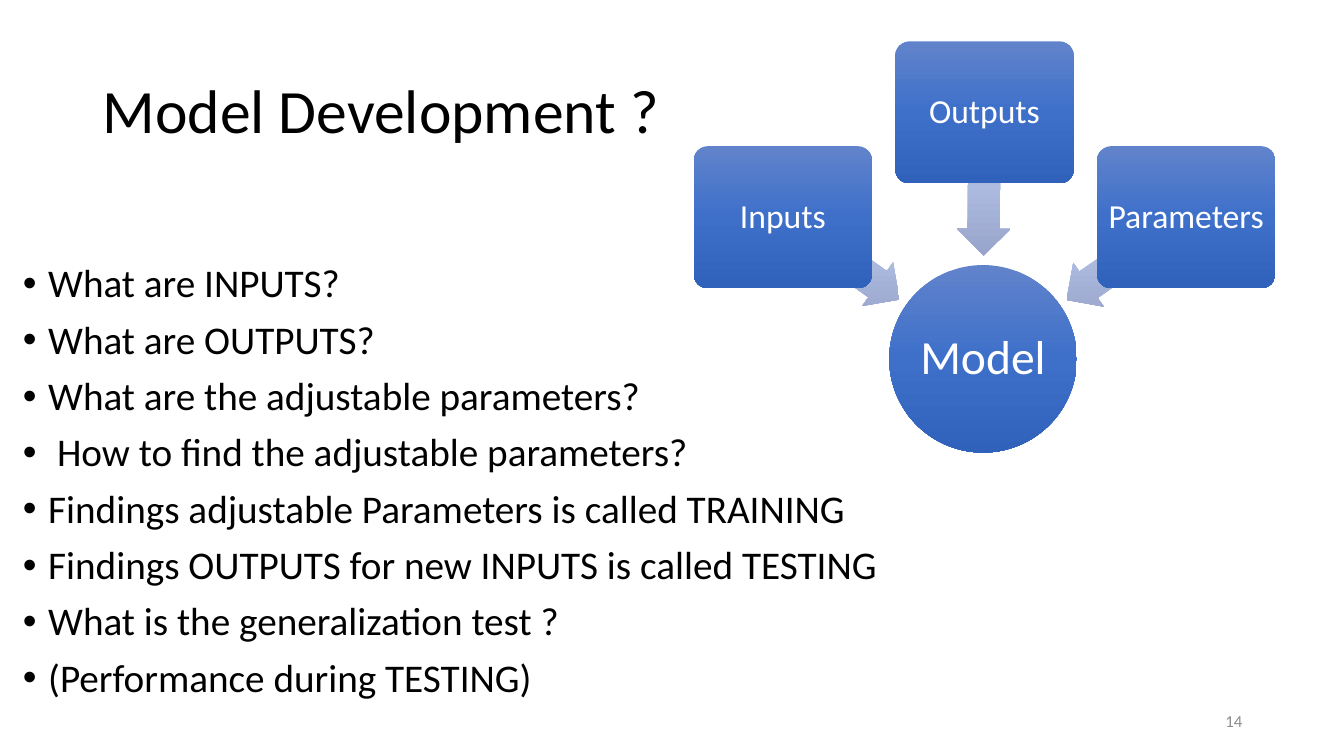
from dataclasses import dataclass

import lxml.etree
import pptx
import pptx.dml.color
import pptx.enum.shapes
import pptx.enum.text
import pptx.oxml.ns
import pptx.util

Inches = pptx.util.Inches
Pt = pptx.util.Pt
Preset = pptx.enum.shapes.MSO_SHAPE
Align = pptx.enum.text.PP_ALIGN
Anchor = pptx.enum.text.MSO_ANCHOR
qn = pptx.oxml.ns.qn

FONT = "Calibri"
COLORS = {
    "ink": "000000",
    "number": "8C8C8C",
    "label": "FFFFFF",
}
NODE_STOPS = ((0, "6183CB"), (50, "3E70CA"), (100, "3062BB"))
ARROW_STOPS = ((0, "BBC5E3"), (50, "AEBBE0"), (100, "98A4CB"))
CARD_WIDTH, CARD_HEIGHT = 1.77, 1.41
ARROW_HEIGHT = 0.53


@dataclass(frozen=True)
class Factor:
    """A card that feeds the model, with the arrow behind it."""
    label: str
    left: float
    top: float
    arrow_left: float
    arrow_top: float
    arrow_width: float
    arrow_turn: float


FACTORS = (
    Factor("Inputs", 6.88, 1.45, 7.64, 2.3, 1.41, 215.2),
    Factor("Outputs", 8.88, 0.41, 9.05, 1.56, 1.42, 270.4),
    Factor("Parameters", 10.88, 1.45, 10.45, 2.3, 1.44, 325.2),
)
QUESTIONS = (
    "What are INPUTS?",
    "What are OUTPUTS?",
    "What are the adjustable parameters?",
    " How to find the adjustable parameters?",
    "Findings adjustable Parameters is called TRAINING",
    "Findings OUTPUTS for new INPUTS is called TESTING",
    "What is the generalization test ?",
    "(Performance during TESTING)",
)


def style_para(para, size: float, color: str, spacing: float = 0.9) -> None:
    para.line_spacing = spacing
    para.font.name = FONT
    para.font.size = Pt(size)
    para.font.color.rgb = pptx.dml.color.RGBColor.from_string(COLORS[color])


def add_box(page, left: float, top: float, width: float, height: float,
            text: str, anchor=Anchor.TOP):
    box = page.shapes.add_textbox(Inches(left), Inches(top), Inches(width), Inches(height))
    frame = box.text_frame
    frame.word_wrap = True
    frame.vertical_anchor = anchor
    frame.text = text
    return frame


def add_bullet(para) -> None:
    properties = para._p.get_or_add_pPr()
    properties.set("marL", str(Inches(0.25)))
    properties.set("indent", str(Inches(-0.25)))
    lxml.etree.SubElement(properties, qn("a:buFont"), typeface="Arial")
    lxml.etree.SubElement(properties, qn("a:buChar"), char="•")


def fill_gradient(shape, stops: tuple[tuple[int, str], ...]) -> None:
    """Fill from top to bottom on the page, whatever the shape's rotation."""
    shape.fill.gradient()
    shape.fill.gradient_angle = 270
    gradient = shape._element.spPr.find(qn("a:gradFill"))
    gradient.set("rotWithShape", "0")
    stop_list = gradient.find(qn("a:gsLst"))
    for old_stop in list(stop_list):
        stop_list.remove(old_stop)
    for percent, color in stops:
        stop = lxml.etree.SubElement(stop_list, qn("a:gs"), pos=str(percent * 1000))
        lxml.etree.SubElement(stop, qn("a:srgbClr"), val=color)


def add_gradient_shape(page, preset, left: float, top: float, width: float,
                       height: float, stops: tuple[tuple[int, str], ...]):
    shape = page.shapes.add_shape(preset, Inches(left), Inches(top),
                                  Inches(width), Inches(height))
    shape.shadow.inherit = False
    shape.line.fill.background()
    fill_gradient(shape, stops)
    return shape


def add_label(shape, text: str, size: float, margin: float) -> None:
    frame = shape.text_frame
    frame.margin_left = frame.margin_right = Inches(margin)
    frame.margin_top = frame.margin_bottom = Inches(margin)
    frame.word_wrap = True
    frame.vertical_anchor = Anchor.MIDDLE
    frame.text = text
    para = frame.paragraphs[0]
    para.alignment = Align.CENTER
    style_para(para, size, "label")


def add_factor(page, factor: Factor) -> None:
    arrow = add_gradient_shape(page, Preset.LEFT_ARROW, factor.arrow_left, factor.arrow_top,
                               factor.arrow_width, ARROW_HEIGHT, ARROW_STOPS)
    arrow.adjustments[0] = 0.6
    arrow.adjustments[1] = 0.5
    arrow.rotation = factor.arrow_turn
    card = add_gradient_shape(page, Preset.ROUNDED_RECTANGLE, factor.left, factor.top,
                              CARD_WIDTH, CARD_HEIGHT, NODE_STOPS)
    card.adjustments[0] = 0.1
    add_label(card, factor.label, 24, 0.05)


def add_questions(page) -> None:
    frame = add_box(page, 0.13, 2.57, 8.73, 4.76, "\n".join(QUESTIONS))
    for index, para in enumerate(frame.paragraphs):
        if index:
            para.space_before = Pt(10)
        add_bullet(para)
        style_para(para, 28, "ink")


def main() -> None:
    deck = pptx.Presentation()
    deck.slide_width = Inches(13.33)
    deck.slide_height = Inches(7.5)
    page = deck.slides.add_slide(deck.slide_layouts[6])

    title = add_box(page, 0.92, 0.4, 11.5, 1.45, "Model Development ?", Anchor.MIDDLE)
    style_para(title.paragraphs[0], 44, "ink")
    add_questions(page)
    number = add_box(page, 9.42, 6.95, 3, 0.4, "14", Anchor.MIDDLE)
    number.paragraphs[0].alignment = Align.RIGHT
    style_para(number.paragraphs[0], 12, "number", 1.0)

    model = add_gradient_shape(page, Preset.OVAL, 8.82, 2.63, 1.86, 1.86, NODE_STOPS)
    add_label(model, "Model", 34, 0.02)
    for factor in FACTORS:
        add_factor(page, factor)
    deck.save("out.pptx")


if __name__ == "__main__":
    main()
